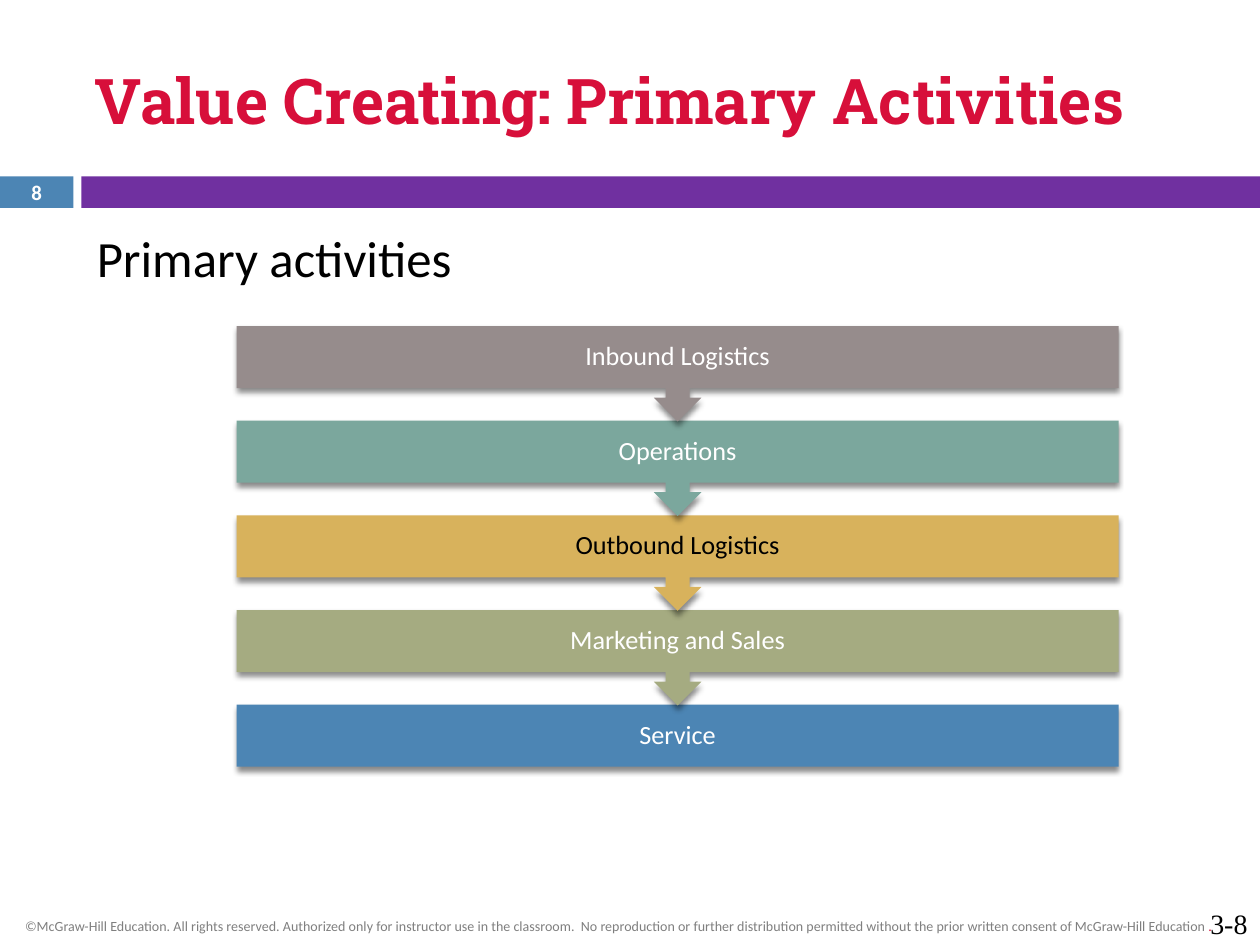
from lxml import etree
from pptx import Presentation
from pptx import util as u
from pptx.dml.color import RGBColor
from pptx.enum import shapes, text
from pptx.oxml import parse_xml
from pptx.oxml.ns import nsdecls

Pt = u.Pt
SHADOW = (
    f'<a:effectLst {nsdecls("a")}>'
    '<a:outerShdw blurRad="38100" dist="30480" dir="5400000" rotWithShape="0">'
    '<a:srgbClr val="000000"><a:alpha val="45000"/></a:srgbClr>'
    '</a:outerShdw></a:effectLst>'
)


def write(shape, words, size, color, font="Calibri", bold=False, align="LEFT",
          anchor="MIDDLE", inset=None, spacing=None, wrap=True):
    frame = shape.text_frame
    frame.word_wrap = wrap
    frame.auto_size = text.MSO_AUTO_SIZE.NONE
    frame.vertical_anchor = getattr(text.MSO_ANCHOR, anchor)
    if inset is not None:
        frame.margin_left = frame.margin_right = Pt(inset)
        frame.margin_top = frame.margin_bottom = Pt(inset)
    paragraph = frame.paragraphs[0]
    paragraph.alignment = getattr(text.PP_ALIGN, align)
    if spacing:
        paragraph.line_spacing = spacing
    run = paragraph.add_run()
    run.text = words
    run.font.name = font
    run.font.size = Pt(size)
    run.font.bold = bold
    run.font.color.rgb = RGBColor.from_string(color)
    return paragraph


def add_block(kind, left, top, width, height, color, shadow=False):
    shape = slide.shapes.add_shape(kind, Pt(left), Pt(top), Pt(width), Pt(height))
    shape.fill.solid()
    shape.fill.fore_color.rgb = RGBColor.from_string(color)
    shape.line.fill.background()
    shape.shadow.inherit = False
    if shadow:
        properties = shape._element.spPr
        properties.replace(properties.find("{*}effectLst"), parse_xml(SHADOW))
    return shape


presentation = Presentation()
presentation.slide_width, presentation.slide_height = Pt(720), Pt(540)
slide = presentation.slides.add_slide(presentation.slide_layouts[5])
RECTANGLE = shapes.MSO_SHAPE.RECTANGLE
CALLOUT = shapes.MSO_SHAPE.UP_ARROW_CALLOUT

# Band under the title, with the slide number
number_box = add_block(RECTANGLE, 0, 100.8, 42, 18, "4C85B4")
write(number_box, "8", 11.9, "FFFFFF", bold=True, align="CENTER", inset=0)
add_block(RECTANGLE, 46.5, 100.8, 673.5, 18, "7030A0")

# Title
title = slide.shapes.title
title.left, title.top, title.width, title.height = Pt(46.8), Pt(18), Pt(662.4), Pt(77.76)
write(title, "Value Creating: Primary Activities", 36, "D70F3A",
      font="Roboto Slab", bold=True)

# Heading
heading = slide.shapes.add_textbox(Pt(48.24), Pt(126), Pt(642), Pt(40))
write(heading, "Primary activities", 29, "000000", anchor="TOP")

# Chain of activities, drawn from the bottom up so each arrow tip lies on top
activities = [
    ("Inbound Logistics", "968C8C", "FFFFFF"),
    ("Operations", "7BA79D", "FFFFFF"),
    ("Outbound Logistics", "D8B25C", "000000"),
    ("Marketing and Sales", "A5AB81", "FFFFFF"),
    ("Service", "4C85B4", "FFFFFF"),
]
left, first_top, width, box_height, callout_height, pitch = 135.2, 186.3, 504, 35.4, 54.5, 54.1
last = len(activities) - 1
for index, (name, fill, ink) in reversed(list(enumerate(activities))):
    top = first_top + index * pitch
    if index == last:
        label = add_block(RECTANGLE, left, top, width, box_height, fill, shadow=True)
    else:
        callout = add_block(CALLOUT, left, top, width, callout_height, fill, shadow=True)
        callout.rotation = 180
        label = slide.shapes.add_textbox(Pt(left), Pt(top), Pt(width), Pt(box_height))
    write(label, name, 15, ink, align="CENTER", inset=8.4, spacing=0.9)

# Footer
copyright_box = slide.shapes.add_textbox(Pt(7.2), Pt(514.8), Pt(683.3), Pt(28.8))
paragraph = write(
    copyright_box,
    "©McGraw-Hill Education. All rights reserved. Authorized only for instructor use in "
    "the classroom.  No reproduction or further distribution permitted without the prior "
    "written consent of McGraw-Hill Education",
    8, "7F7F7F", wrap=False)
period = paragraph.add_run()
period.text = "."
period.font.name = "Calibri"
period.font.size = Pt(8)
period.font.color.rgb = RGBColor.from_string("D70F3A")

page_box = slide.shapes.add_textbox(Pt(671.8), Pt(510.5), Pt(48.2), Pt(30.2))
write(page_box, "3-8", 16, "000000", font="Times New Roman", align="RIGHT", anchor="BOTTOM")

presentation.save("out.pptx")
